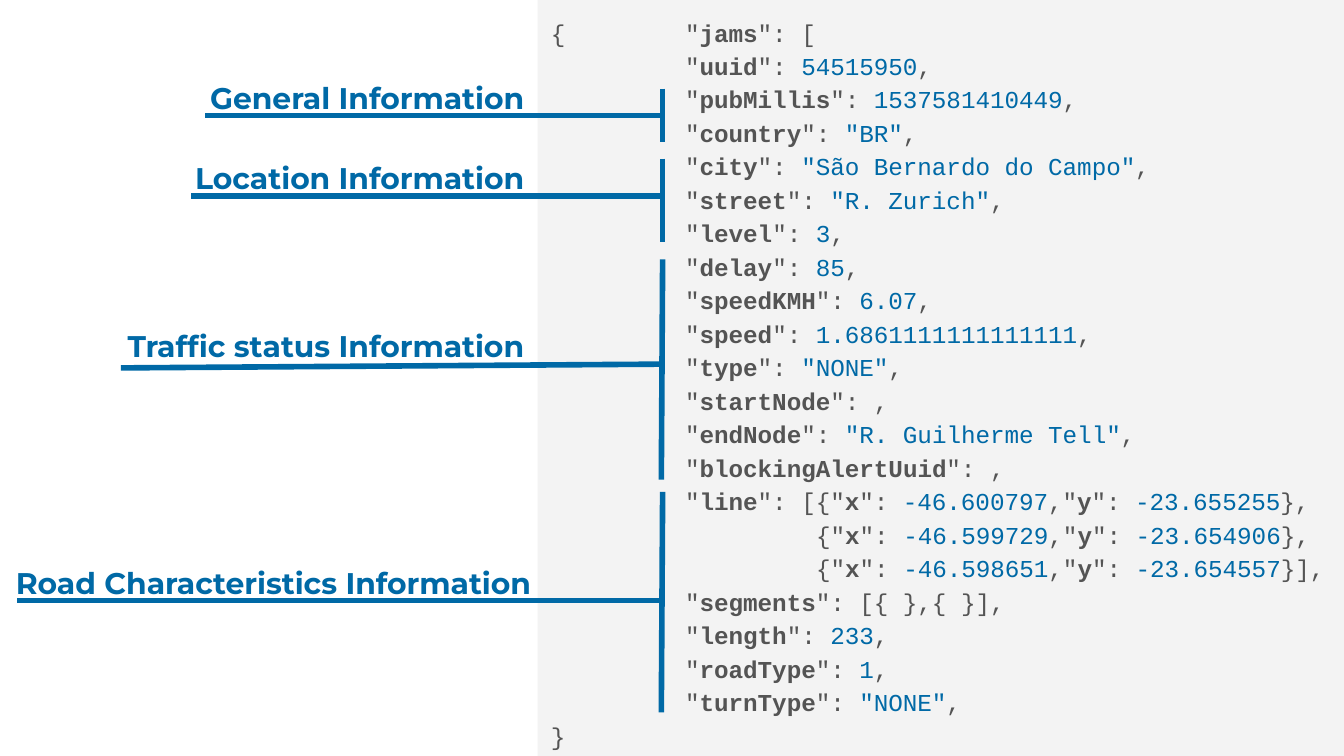
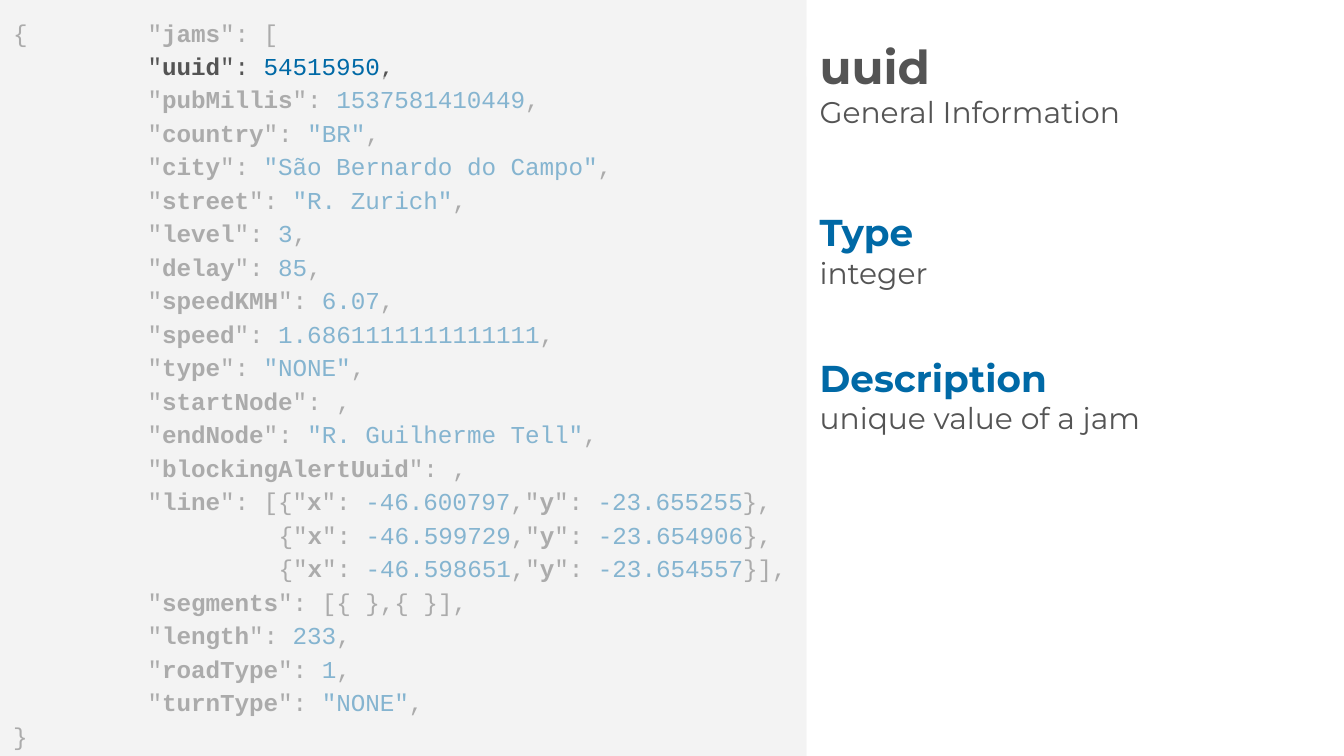
import pptx
import pptx.dml.color
import pptx.enum.shapes
import pptx.enum.text
import pptx.oxml
import pptx.util

Pt = pptx.util.Pt
RGBColor = pptx.dml.color.RGBColor
ALIGN = pptx.enum.text.PP_ALIGN
ANCHOR = pptx.enum.text.MSO_ANCHOR

BLUE = RGBColor(0x00, 0x69, 0xA6)
GREY = RGBColor(0x54, 0x54, 0x54)
PANEL = RGBColor(0xF3, 0xF3, 0xF3)
SLIDE_WIDTH, SLIDE_HEIGHT = 720, 405
PANEL_WIDTH = 432
CODE_INDENT = 72
POINT_INDENT = 142.2  # nine characters further in

# Indent and text of each line: *key* is bold, ~value~ is blue.
CODE_LINES = [
    (0, '{\t"*jams*": ['),
    (CODE_INDENT, '"*uuid*": ~54515950~,'),
    (CODE_INDENT, '"*pubMillis*": ~1537581410449~,'),
    (CODE_INDENT, '"*country*": ~"BR"~,'),
    (CODE_INDENT, '"*city*": ~"São Bernardo do Campo"~,'),
    (CODE_INDENT, '"*street*": ~"R. Zurich"~,'),
    (CODE_INDENT, '"*level*": ~3~,'),
    (CODE_INDENT, '"*delay*": ~85~,'),
    (CODE_INDENT, '"*speedKMH*": ~6.07~,'),
    (CODE_INDENT, '"*speed*": ~1.6861111111111111~,'),
    (CODE_INDENT, '"*type*": ~"NONE"~,'),
    (CODE_INDENT, '"*startNode*": ,'),
    (CODE_INDENT, '"*endNode*": ~"R. Guilherme Tell"~,'),
    (CODE_INDENT, '"*blockingAlertUuid*": ,'),
    (CODE_INDENT, '"*line*": [{"*x*": ~-46.600797~,"*y*": ~-23.655255~},'),
    (POINT_INDENT, '{"*x*": ~-46.599729~,"*y*": ~-23.654906~},'),
    (POINT_INDENT, '{"*x*": ~-46.598651~,"*y*": ~-23.654557~}],'),
    (CODE_INDENT, '"*segments*": [{ },{ }],'),
    (CODE_INDENT, '"*length*": ~233~,'),
    (CODE_INDENT, '"*roadType*": ~1~,'),
    (CODE_INDENT, '"*turnType*": ~"NONE"~,'),
    (0, '}'),
]


def add_panel(page, left, top, height):
    panel = page.shapes.add_shape(
        pptx.enum.shapes.MSO_SHAPE.RECTANGLE, Pt(left), Pt(top), Pt(PANEL_WIDTH), Pt(height))
    panel.shadow.inherit = False
    panel.fill.solid()
    panel.fill.fore_color.rgb = PANEL
    panel.line.fill.background()
    return panel


def add_span(para, text, color, **formats):
    span = para.add_run()
    span.text = text
    span.font.color.rgb = color
    for name, value in formats.items():
        setattr(span.font, name, value)


deck = pptx.Presentation()
deck.slide_width, deck.slide_height = Pt(SLIDE_WIDTH), Pt(SLIDE_HEIGHT)
overview, uuid_page = [deck.slides.add_slide(deck.slide_layouts[6]) for _ in range(2)]

# Code panel on both slides
for page, left in [(overview, SLIDE_WIDTH - PANEL_WIDTH), (uuid_page, 0)]:
    frame = add_panel(page, left, 0, SLIDE_HEIGHT).text_frame
    frame.word_wrap = True
    frame.vertical_anchor = ANCHOR.TOP
    for side in ("left", "top", "right", "bottom"):
        setattr(frame, f"margin_{side}", Pt(7.2))
    for number, (indent, line) in enumerate(CODE_LINES):
        para = frame.add_paragraph() if number else frame.paragraphs[0]
        para.alignment = ALIGN.LEFT
        para.line_spacing = 1.15
        properties = para._p.get_or_add_pPr()
        for name, value in {"marL": Pt(indent), "indent": 0, "defTabSz": Pt(CODE_INDENT)}.items():
            properties.set(name, str(int(value)))
        for key_part, key_text in enumerate(line.split("*")):
            for value_part, text in enumerate(key_text.split("~")):
                if text:
                    add_span(para, text, BLUE if value_part % 2 else GREY,
                             name="Courier New", size=Pt(13), bold=key_part % 2 == 1)

# Veils that fade every line but uuid
for top, bottom in [(0, 26), (41, SLIDE_HEIGHT)]:
    veil = add_panel(uuid_page, 0, top, bottom - top)
    color = veil.fill._xPr.find(".//" + pptx.oxml.ns.qn("a:srgbClr"))
    color.append(pptx.oxml.parse_xml(
        f'<a:alpha {pptx.oxml.ns.nsdecls("a")} val="55000"/>'))

# Text boxes: page, left, top, width, height, alignment, anchor, (text, size, bold, colour) lines
text_boxes = [
    (overview, 1.44, top, width, 44.64, align, ANCHOR.TOP, [(text, 16, True, BLUE)])
    for text, top, width, align in [
        ("General Information", 35.3, 286.56, ALIGN.RIGHT),
        ("Location Information", 78.5, 286.56, ALIGN.RIGHT),
        ("Traffic status Information", 168.5, 286.56, ALIGN.RIGHT),
        ("Road Characteristics Information", 295.2, 293, ALIGN.LEFT),
    ]
]
text_boxes.append((uuid_page, PANEL_WIDTH, 11.5, 288, 66.2, ALIGN.LEFT, ANCHOR.MIDDLE,
                   [("uuid", 25, True, GREY), ("General Information", 16, False, GREY)]))
for top, heading, detail in [(105.1, "Type", "integer"),
                             (182.9, "Description", "unique value of a jam")]:
    text_boxes += [
        (uuid_page, PANEL_WIDTH, top, 139, 36, ALIGN.LEFT, ANCHOR.TOP,
         [(heading, 20, True, BLUE)]),
        (uuid_page, PANEL_WIDTH, top + 24, 259.2, 62.6, ALIGN.LEFT, ANCHOR.TOP,
         [(detail, 16, False, GREY)]),
    ]
for page, left, top, width, height, align, anchor, lines in text_boxes:
    box = page.shapes.add_textbox(Pt(left), Pt(top), Pt(width), Pt(height))
    frame = box.text_frame
    frame.word_wrap = True
    frame.vertical_anchor = anchor
    for side in ("left", "top", "right", "bottom"):
        setattr(frame, f"margin_{side}", Pt(7.2))
    for number, (text, size, bold, color) in enumerate(lines):
        para = frame.add_paragraph() if number else frame.paragraphs[0]
        para.alignment = align
        add_span(para, text, color, name="Montserrat", size=Pt(size), bold=bold)

# Brackets beside the code, then the underlines that lead to the labels
label_lines = [
    (355, 47.5, 355, 76.3),
    (355, 85, 355, 129.6),
    (355, 139, 354.3, 257),
    (355, 263.5, 354.3, 381.6),
    (356, 61.9, 109.6, 61.9),
    (355, 105.1, 102.2, 105.1),
    (355, 195.1, 64.8, 197.1),
    (355, 321.8, 9.2, 321.8),
]
for ends in label_lines:
    connector = overview.shapes.add_connector(
        pptx.enum.shapes.MSO_CONNECTOR.STRAIGHT, *[Pt(end) for end in ends])
    connector.line.color.rgb = BLUE
    connector.line.width = Pt(3)
    connector._element.spPr.append(pptx.oxml.parse_xml(
        f'<a:effectLst {pptx.oxml.ns.nsdecls("a")}/>'))

deck.save("out.pptx")
